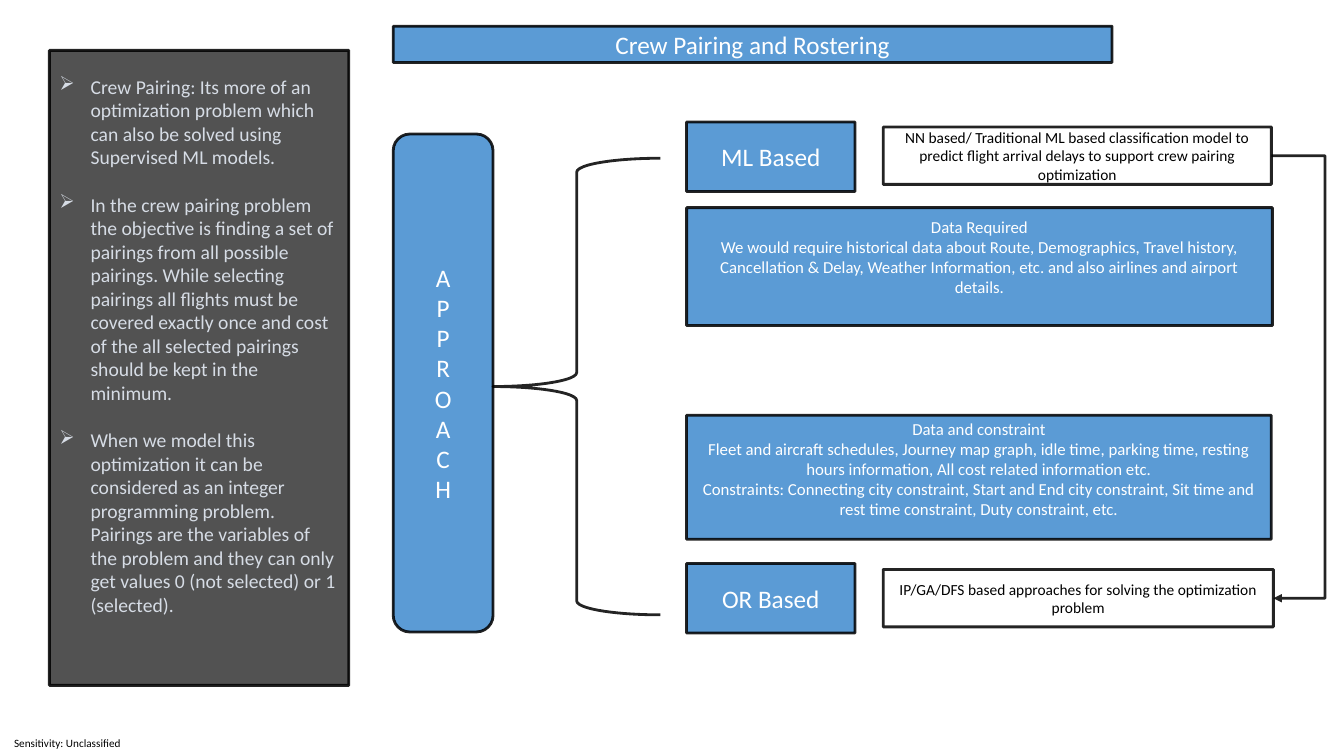
from dataclasses import dataclass
from typing import Optional

import lxml.etree
import pptx
import pptx.dml.color
import pptx.enum.shapes
import pptx.enum.text
import pptx.oxml.ns
import pptx.util

Inches = pptx.util.Inches
Pt = pptx.util.Pt
Shapes = pptx.enum.shapes.MSO_SHAPE
Align = pptx.enum.text.PP_ALIGN
Anchor = pptx.enum.text.MSO_ANCHOR
qn = pptx.oxml.ns.qn


@dataclass(frozen=True)
class Theme:
    font: str = "Calibri"
    blue: str = "5B9BD5"
    charcoal: str = "525252"
    pale: str = "D6DCE5"
    white: str = "FFFFFF"
    black: str = "000000"
    line_width: float = 2
    line_opacity: int = 86
    heading: float = 18
    body: float = 14
    detail: float = 12
    note: float = 11
    footer: float = 8


THEME = Theme()


@dataclass(frozen=True)
class Box:
    left: float
    top: float
    width: float
    height: float
    text: str
    size: float = THEME.heading
    fill: str = THEME.blue
    color: str = THEME.white
    preset: Shapes = Shapes.RECTANGLE
    align: Align = Align.CENTER
    top_inset: Optional[float] = None


def rgb(color: str) -> pptx.dml.color.RGBColor:
    return pptx.dml.color.RGBColor.from_string(color)


def style_line(line: pptx.dml.line.LineFormat) -> None:
    line.width = Pt(THEME.line_width)
    line.color.rgb = rgb(THEME.black)
    color_element = next(line._get_or_add_ln().iter(qn("a:srgbClr")))
    alpha = lxml.etree.SubElement(color_element, qn("a:alpha"))
    alpha.set("val", str(THEME.line_opacity * 1000))


def write_text(shape: pptx.shapes.base.BaseShape, box: Box) -> None:
    frame = shape.text_frame
    frame.text = box.text
    frame.word_wrap = True
    frame.auto_size = pptx.enum.text.MSO_AUTO_SIZE.NONE
    frame.vertical_anchor = Anchor.MIDDLE
    if box.top_inset is not None:
        frame.vertical_anchor = Anchor.TOP
        frame.margin_top = Inches(box.top_inset)
    for paragraph in frame.paragraphs:
        paragraph.alignment = box.align
        for run in paragraph.runs:
            run.font.name = THEME.font
            run.font.size = Pt(box.size)
            run.font.color.rgb = rgb(box.color)


def fill_box(shape: pptx.shapes.base.BaseShape, box: Box) -> None:
    shape.fill.solid()
    shape.fill.fore_color.rgb = rgb(box.fill)
    style_line(shape.line)
    write_text(shape, box)


def add_preset(slide: pptx.slide.Slide, preset: Shapes, left: float, top: float,
               width: float, height: float) -> pptx.shapes.autoshape.Shape:
    shape = slide.shapes.add_shape(
        preset, Inches(left), Inches(top), Inches(width), Inches(height))
    shape.shadow.inherit = False
    return shape


def add_box(slide: pptx.slide.Slide, box: Box) -> pptx.shapes.autoshape.Shape:
    shape = add_preset(slide, box.preset, box.left, box.top, box.width, box.height)
    fill_box(shape, box)
    return shape


def add_bullets(shape: pptx.shapes.autoshape.Shape, gap: float) -> None:
    indent = Inches(0.31)
    for index, paragraph in enumerate(shape.text_frame.paragraphs):
        if index:
            paragraph.space_before = Pt(gap)
        properties = paragraph._p.get_or_add_pPr()
        properties.set("marL", str(indent))
        properties.set("indent", str(-indent))
        lxml.etree.SubElement(properties, qn("a:buChar")).set("char", "➢")


def add_elbow_arrow(slide: pptx.slide.Slide, start: pptx.shapes.autoshape.Shape,
                    end: pptx.shapes.autoshape.Shape, bend_left: float) -> None:
    right_side = 3
    connector = slide.shapes.add_connector(
        pptx.enum.shapes.MSO_CONNECTOR.ELBOW, 0, 0, 0, 0)
    connector.begin_connect(start, right_side)
    connector.end_connect(end, right_side)
    style_line(connector.line)
    line_element = connector.line._get_or_add_ln()
    lxml.etree.SubElement(line_element, qn("a:tailEnd")).set("type", "triangle")
    properties = connector._element.spPr
    lxml.etree.SubElement(properties, qn("a:effectLst"))
    reach = Inches(bend_left) - connector.begin_x
    ratio = reach / (connector.end_x - connector.begin_x)
    guide = lxml.etree.SubElement(next(properties.iter(qn("a:avLst"))), qn("a:gd"))
    guide.set("name", "adj1")
    guide.set("fmla", f"val {round(ratio * 100000)}")


TITLE = Box(3.9, 0.26, 7.13, 0.36, "Crew Pairing and Rostering")
SUMMARY = Box(0.49, 0.5, 2.97, 6.3, "\n".join((
    "Crew Pairing: Its more of an optimization problem which can also be solved "
    "using Supervised ML models.",
    "In the crew pairing problem the objective is finding a set of pairings from all "
    "possible pairings. While selecting pairings all flights must be covered exactly "
    "once and cost of the all selected pairings should be kept in the minimum.",
    "When we model this optimization it can be considered as an integer programming "
    "problem. Pairings are the variables of the problem and they can only get values "
    "0 (not selected) or 1 (selected).")),
    THEME.body, THEME.charcoal, THEME.pale, align=Align.LEFT, top_inset=0.24)
APPROACH = Box(3.9, 1.33, 0.99, 4.94, "\n".join("APPROACH"),
               preset=Shapes.ROUNDED_RECTANGLE)
METHODS = (Box(6.81, 1.21, 1.67, 0.69, "ML Based"),
           Box(6.81, 5.59, 1.67, 0.69, "OR Based"))
DATA_BOXES = (
    Box(6.81, 2.06, 5.81, 1.17, "\n".join((
        "Data Required",
        "We would require historical data about Route, Demographics, Travel history, "
        "Cancellation & Delay, Weather Information, etc. and also airlines and airport "
        "details.")), THEME.detail, top_inset=0.09),
    Box(6.81, 4.12, 5.8, 1.23, "\n".join((
        "Data and constraint",
        "Fleet and aircraft schedules, Journey map graph, idle time, parking time, "
        "resting hours information, All cost related information etc.",
        "Constraints: Connecting city constraint, Start and End city constraint, Sit "
        "time and rest time constraint, Duty constraint, etc.")),
        THEME.detail, top_inset=0.03))
ML_NOTE = Box(8.76, 1.26, 3.85, 0.57,
              "NN based/ Traditional ML based classification model to predict flight "
              "arrival delays to support crew pairing optimization",
              THEME.note, THEME.white, THEME.black)
OR_NOTE = Box(8.76, 5.65, 3.87, 0.57,
              "IP/GA/DFS based approaches for solving the optimization problem",
              THEME.note, THEME.white, THEME.black)
FOOTER = Box(0, 7.25, 1.34, 0.25, "Sensitivity: Unclassified", THEME.footer,
             color=THEME.black, align=Align.LEFT)

presentation = pptx.Presentation()
presentation.slide_width = Inches(13.33)
presentation.slide_height = Inches(7.5)
title_only = presentation.slide_layouts.get_by_name("Title Only")
slide = presentation.slides.add_slide(title_only)

title = slide.shapes.title
title.left, title.top = Inches(TITLE.left), Inches(TITLE.top)
title.width, title.height = Inches(TITLE.width), Inches(TITLE.height)
fill_box(title, TITLE)

add_bullets(add_box(slide, SUMMARY), gap=17)
for box in (APPROACH, *METHODS, *DATA_BOXES):
    add_box(slide, box)

brace = add_preset(slide, Shapes.LEFT_BRACE, 4.89, 1.57, 1.66, 4.53)
brace.fill.background()
style_line(brace.line)

ml_note = add_box(slide, ML_NOTE)
or_note = add_box(slide, OR_NOTE)
add_elbow_arrow(slide, ml_note, or_note, bend_left=13.14)

footer = slide.shapes.add_textbox(Inches(FOOTER.left), Inches(FOOTER.top),
                                  Inches(FOOTER.width), Inches(FOOTER.height))
write_text(footer, FOOTER)
footer.text_frame.margin_left = Inches(0.14)
footer.text_frame.margin_right = 0

presentation.save("out.pptx")
